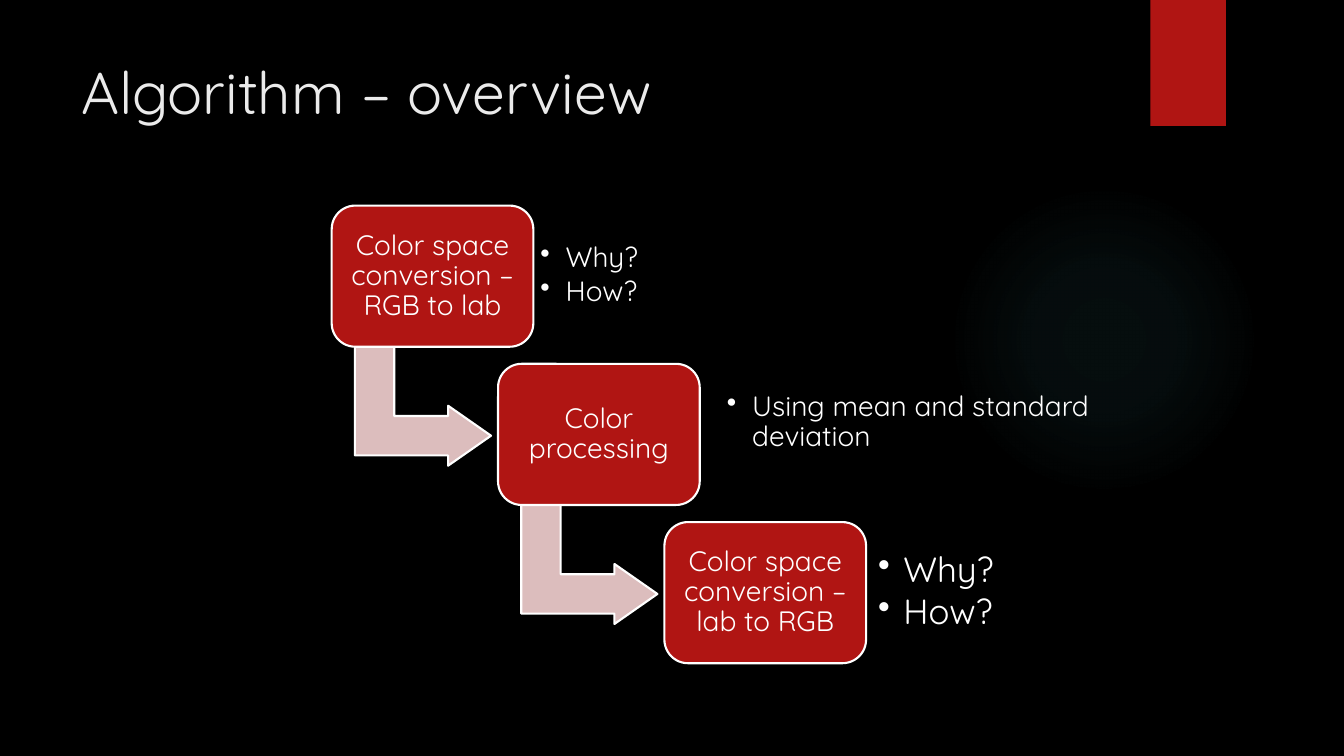
from dataclasses import dataclass

from lxml.etree import SubElement
from pptx import Presentation
from pptx.dml.color import RGBColor
from pptx.enum.shapes import MSO_SHAPE
from pptx.enum.text import MSO_ANCHOR, PP_ALIGN
from pptx.oxml import parse_xml
from pptx.oxml.ns import nsdecls, qn
from pptx.shapes.autoshape import Shape
from pptx.slide import Slide
from pptx.text.text import TextFrame, _Paragraph
from pptx.util import Inches, Pt

FONT = "Quicksand"
COLORS = {
    "background": "000000",
    "title": "EBEBEB",
    "text": "FFFFFF",
    "outline": "FFFFFF",
    "accent": "B01513",
    "arrow": "DCBDBD",
    "glow": "50B9C1",
}
GLOW_STOPS = ((0, 7), (36, 6), (69, 0))
FIRST_LEFT, FIRST_TOP = 3.29, 2.04
STEP_RIGHT, STEP_DOWN = 1.65, 1.57
BOX_WIDTH, BOX_HEIGHT = 2, 1.4


@dataclass(frozen=True)
class Step:
    label: str
    notes: tuple[str, ...]
    note_offset: float = 1.99
    note_width: float = 1.45
    note_size: int = 20
    inset: float = 0.08
    bottom_inset: float = 0.08


STEPS = (
    Step("Color space conversion – RGB to lab", ("Why?", "How?")),
    Step("Color processing", ("Using mean and standard deviation",),
         note_offset=2.19, note_width=4.19, bottom_inset=0.31),
    Step("Color space conversion – lab to RGB", ("Why?", "How?"),
         note_size=25, inset=0.13, bottom_inset=0.13),
)


def color(name: str) -> RGBColor:
    return RGBColor.from_string(COLORS[name])


def add_span(para: _Paragraph, text: str, size: int, tint: str) -> None:
    span = para.add_run()
    span.text = text
    span.font.name = FONT
    span.font.size = Pt(size)
    span.font.color.rgb = color(tint)


def set_frame(frame: TextFrame, inset: float, bottom: float) -> None:
    frame.word_wrap = True
    frame.vertical_anchor = MSO_ANCHOR.MIDDLE
    frame.margin_left = frame.margin_right = frame.margin_top = Inches(inset)
    frame.margin_bottom = Inches(bottom)


def add_block(page: Slide, kind: MSO_SHAPE, left: float, top: float,
              width: float, height: float, fill: str, outlined: bool = True) -> Shape:
    block = page.shapes.add_shape(
        kind, Inches(left), Inches(top), Inches(width), Inches(height))
    block.shadow.inherit = False
    block.fill.solid()
    block.fill.fore_color.rgb = color(fill)
    if outlined:
        block.line.color.rgb = color("outline")
        block.line.width = Pt(1.5)
    else:
        block.line.fill.background()
    return block


def add_glow(page: Slide) -> None:
    glow = add_block(page, MSO_SHAPE.OVAL, 9.41, 1.83, 3.08, 3.08, "glow", outlined=False)
    stops = "".join(
        f'<a:gs pos="{position * 1000}"><a:srgbClr val="{COLORS["glow"]}">'
        f'<a:alpha val="{alpha * 1000}"/></a:srgbClr></a:gs>'
        for position, alpha in GLOW_STOPS)
    gradient = parse_xml(
        f'<a:gradFill {nsdecls("a")}><a:gsLst>{stops}</a:gsLst><a:path path="circle">'
        '<a:fillToRect l="50000" t="50000" r="50000" b="50000"/></a:path></a:gradFill>')
    properties = glow._element.spPr
    properties.replace(properties.find(qn("a:solidFill")), gradient)


def add_title(page: Slide) -> None:
    box = page.shapes.add_textbox(Inches(0.71), Inches(0.5), Inches(10.29), Inches(1.53))
    box.text_frame.word_wrap = True
    add_span(box.text_frame.paragraphs[0], "Algorithm – overview", 42, "title")


def add_arrow(page: Slide, left: float, top: float) -> None:
    arrow = add_block(page, MSO_SHAPE.BENT_UP_ARROW, left + 0.31, top + 1.31,
                      1.19, 1.35, "arrow")
    arrow.rotation = 90
    for index, value in enumerate((0.328, 0.25, 0.358)):
        arrow.adjustments[index] = value


def add_step_box(page: Slide, step: Step, left: float, top: float) -> None:
    box = add_block(page, MSO_SHAPE.ROUNDED_RECTANGLE, left, top,
                    BOX_WIDTH, BOX_HEIGHT, "accent")
    box.adjustments[0] = 0.167
    set_frame(box.text_frame, 0.08, 0.08)
    para = box.text_frame.paragraphs[0]
    para.alignment = PP_ALIGN.CENTER
    para.line_spacing = 0.9
    add_span(para, step.label, 20, "text")


def add_notes(page: Slide, step: Step, left: float, top: float) -> None:
    box = page.shapes.add_textbox(Inches(left + step.note_offset), Inches(top + 0.13),
                                  Inches(step.note_width), Inches(1.13))
    frame = box.text_frame
    set_frame(frame, step.inset, step.bottom_inset)
    for index, note in enumerate(step.notes):
        para = frame.add_paragraph() if index else frame.paragraphs[0]
        para.line_spacing = 0.9
        para.space_after = Pt(3)
        properties = para._p.get_or_add_pPr()
        properties.set("marL", str(Inches(0.25)))
        properties.set("indent", str(Inches(-0.25)))
        SubElement(properties, qn("a:buChar")).set("char", "•")
        add_span(para, note, step.note_size, "text")


def main() -> None:
    deck = Presentation()
    deck.slide_width, deck.slide_height = Inches(13.33), Inches(7.5)
    page = deck.slides.add_slide(deck.slide_layouts[6])
    page.background.fill.solid()
    page.background.fill.fore_color.rgb = color("background")

    add_glow(page)
    add_block(page, MSO_SHAPE.RECTANGLE, 11.41, 0, 0.75, 1.25, "accent", outlined=False)
    add_title(page)
    for index, step in enumerate(STEPS):
        left = FIRST_LEFT + index * STEP_RIGHT
        top = FIRST_TOP + index * STEP_DOWN
        if index < len(STEPS) - 1:
            add_arrow(page, left, top)
        add_step_box(page, step, left, top)
        add_notes(page, step, left, top)
    deck.save("out.pptx")


if __name__ == "__main__":
    main()
